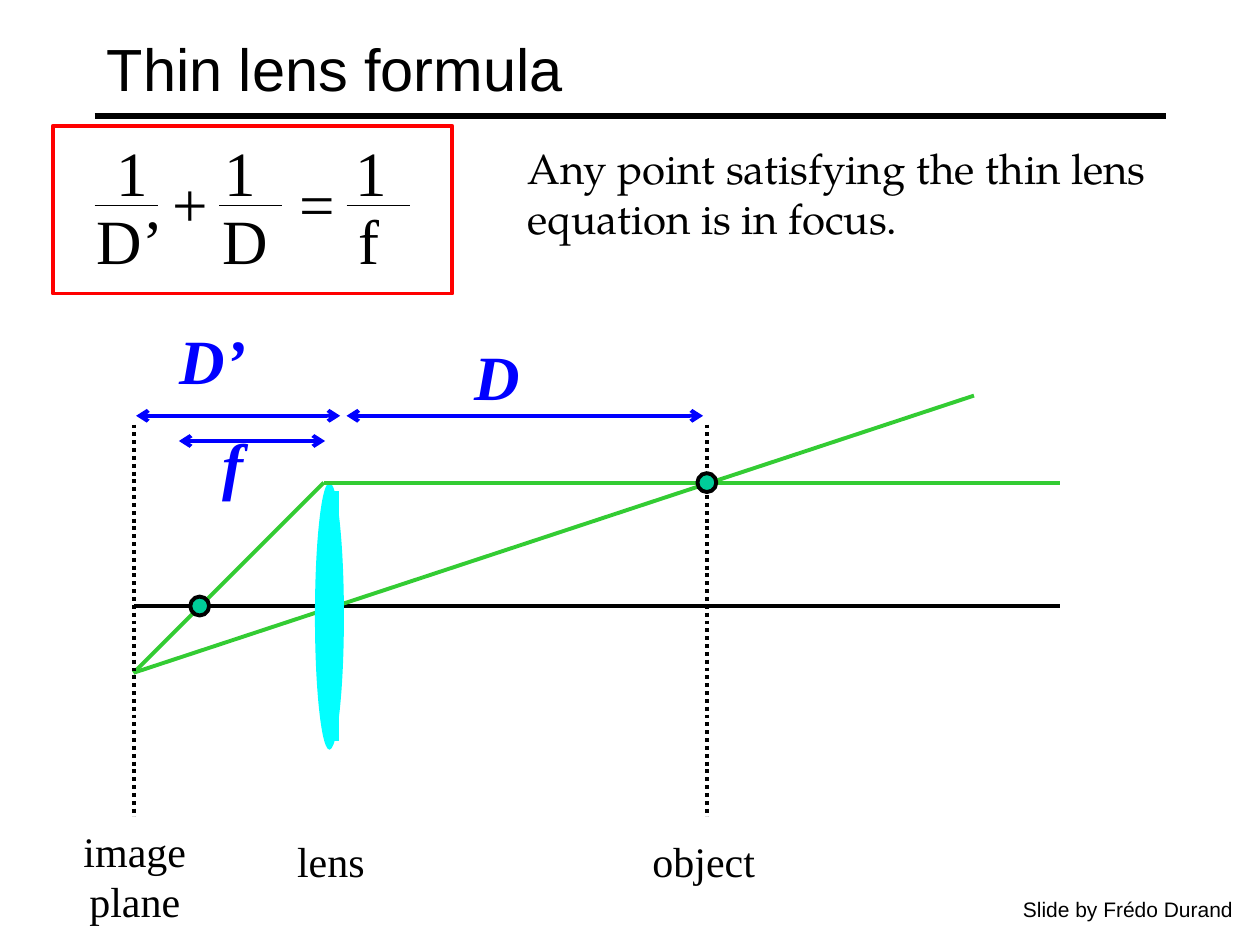
from typing import NamedTuple, Optional

from lxml import etree
from pptx import Presentation, util as u
from pptx.dml.color import RGBColor
from pptx.enum import dml, shapes, text
from pptx.oxml.ns import qn

COLS, ROWS = 10, 7.5
BLACK, BLUE, GREEN, CYAN = "000000", "0000FF", "33CC33", "02FFFF"
TEAL, RED = "00CC99", "FF0000"
SERIF, SANS, BOOK = "Times New Roman", "Arial", "TeX Gyre Pagella"

# Optical layout, in columns and rows
IMAGE, LENS, OBJECT, END = 1.06, 2.57, 5.61, 8.41
AXIS, RAY, FOCUS = 4.81, 3.83, 5.34

deck = Presentation()
deck.slide_width, deck.slide_height = u.Inches(10), u.Inches(7.5)
slide = deck.slides.add_slide(deck.slide_layouts[6])


class Line(NamedTuple):
    x1: float
    y1: float
    x2: float
    y2: float
    hue: str = BLACK
    width: float = 2.25
    dash: bool = False
    arrows: bool = False


class Label(NamedTuple):
    words: str
    x: float
    y: float
    w: float
    h: float
    size: int = 36
    face: str = SERIF
    hue: str = BLACK
    slant: bool = False
    wrap: bool = False
    align: Optional[text.PP_ALIGN] = None
    anchor: text.MSO_ANCHOR = text.MSO_ANCHOR.TOP


def col(n: float) -> int:
    return round(deck.slide_width * n / COLS)


def row(n: float) -> int:
    return round(deck.slide_height * n / ROWS)


def rgb(code: str) -> RGBColor:
    return RGBColor.from_string(code)


def draw_line(item: Line) -> None:
    line = slide.shapes.add_connector(
        shapes.MSO_CONNECTOR.STRAIGHT,
        col(item.x1), row(item.y1), col(item.x2), row(item.y2))
    line.line.color.rgb = rgb(item.hue)
    line.line.width = u.Pt(item.width)
    if item.dash:
        line.line.dash_style = dml.MSO_LINE.ROUND_DOT
    if item.arrows:
        pen = line.line._get_or_add_ln()
        for end in ("a:headEnd", "a:tailEnd"):
            etree.SubElement(pen, qn(end), type="arrow")
    etree.SubElement(line._element.spPr, qn("a:effectLst"))


def draw_shape(kind: shapes.MSO_SHAPE, x: float, y: float, w: float, h: float,
               fill: Optional[str] = None, edge: Optional[str] = None) -> None:
    shape = slide.shapes.add_shape(kind, col(x), row(y), col(w), row(h))
    shape.shadow.inherit = False
    if fill:
        shape.fill.solid()
        shape.fill.fore_color.rgb = rgb(fill)
    else:
        shape.fill.background()
    if edge:
        shape.line.color.rgb = rgb(edge)
        shape.line.width = u.Pt(2.25)
    else:
        shape.line.fill.background()


def draw_dot(x: float, y: float, size: float = 0.15) -> None:
    draw_shape(shapes.MSO_SHAPE.OVAL, x - size / 2, y - size / 2, size, size,
               TEAL, BLACK)


def draw_label(item: Label) -> None:
    box = slide.shapes.add_textbox(col(item.x), row(item.y), col(item.w), row(item.h))
    frame = box.text_frame
    frame.word_wrap = item.wrap
    frame.vertical_anchor = item.anchor
    para = frame.paragraphs[0]
    para.alignment = item.align
    run = para.add_run()
    run.text = item.words
    style = {"name": item.face, "size": u.Pt(item.size),
             "bold": item.slant, "italic": item.slant}
    for key, value in style.items():
        setattr(run.font, key, value)
    run.font.color.rgb = rgb(item.hue)


def draw_term(low: str, bar: float, top: float, left: float, wide: float) -> None:
    """Draw the fraction 1 / low, with its bar starting at column bar."""
    draw_label(Label("1", top, 1.01, 0.45, 0.7))
    draw_label(Label(low, left, 1.55, wide, 0.7))
    draw_line(Line(bar, 1.63, bar + 0.5, 1.63, width=1))


# Title
draw_line(Line(0.75, 0.92, 9.25, 0.92, width=3))
draw_label(Label("Thin lens formula", 0.75, 0.08, 8.5, 0.92, 34, SANS,
                 wrap=True, anchor=text.MSO_ANCHOR.MIDDLE))

# Lens, axis and rays
for item in (Line(2.65, 3.9, 2.65, 5.88, CYAN, 6),
             Line(END, AXIS, IMAGE, AXIS),
             Line(7.73, 3.14, IMAGE, FOCUS, GREEN)):
    draw_line(item)
draw_shape(shapes.MSO_SHAPE.OVAL, 2.5, RAY, 0.23, 2.12, CYAN)
for item in (Line(LENS, RAY, IMAGE, FOCUS, GREEN),
             Line(END, RAY, LENS, RAY, GREEN)):
    draw_line(item)
for plane in (IMAGE, OBJECT):
    draw_line(Line(plane, 3.37, plane, 6.48, dash=True))

# Distances
for right, left, y in ((5.58, 2.75, 3.3), (2.7, 1.08, 3.3), (2.58, 1.42, 3.5)):
    draw_line(Line(right, y, left, y, BLUE, arrows=True))
for words, x, y, w in (("f", 1.67, 3.33, 0.37), ("D", 3.67, 2.63, 0.56),
                       ("D’", 1.33, 2.5, 0.73)):
    draw_label(Label(words, x, y, w, 0.7, hue=BLUE, slant=True))

# Formula
for term in (("D’", 0.75, 0.83, 0.67, 0.73), ("D", 1.74, 1.68, 1.67, 0.56),
             ("f", 2.75, 2.72, 2.75, 0.37)):
    draw_term(*term)
for sign, x in (("+", 1.27), ("=", 2.28)):
    draw_label(Label(sign, x, 1.26, 0.48, 0.7))
draw_shape(shapes.MSO_SHAPE.RECTANGLE, 0.42, 1, 3.17, 1.33, edge=RED)

# Points in focus
draw_dot(1.585, AXIS)
draw_dot(OBJECT, RAY)

# Notes and captions
for item in (
        Label("Any point satisfying the thin lens equation is in focus.",
              4.09, 1.08, 5.55, 0.9, 24, BOOK, wrap=True),
        Label("Slide by Frédo Durand", 8.02, 7.07, 1.92, 0.3, 12, SANS),
        Label("object", 5.08, 6.58, 1.02, 0.5, 24),
        Label("image plane", 0.39, 6.5, 1.36, 0.91, 24, wrap=True,
              align=text.PP_ALIGN.CENTER),
        Label("lens", 2.26, 6.58, 0.74, 0.5, 24)):
    draw_label(item)

deck.save("out.pptx")
